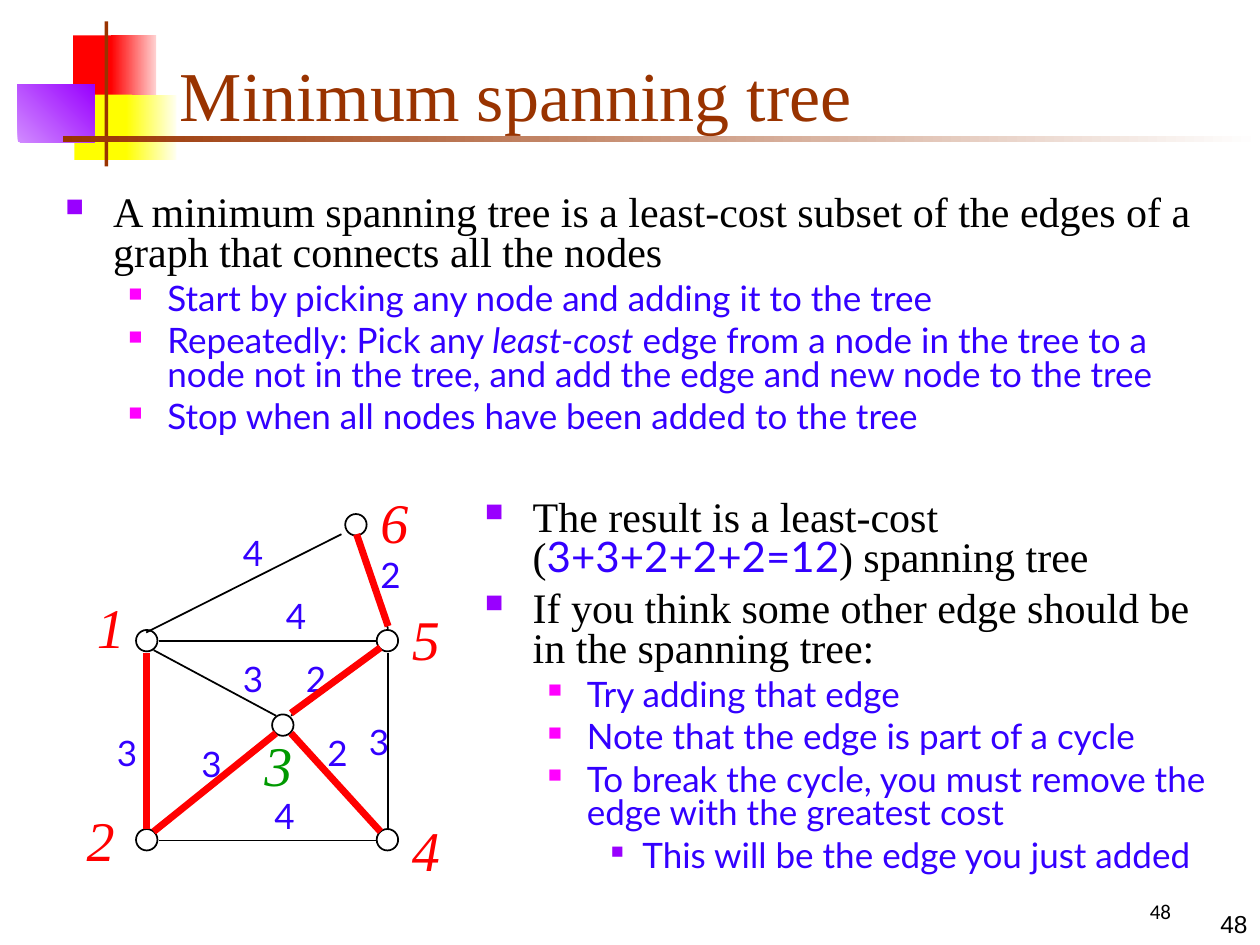
from lxml import etree
from pptx import Presentation
from pptx.dml.color import RGBColor
from pptx.enum.shapes import MSO_CONNECTOR, MSO_SHAPE
from pptx.enum.text import MSO_ANCHOR, PP_ALIGN
from pptx.oxml.ns import qn
from pptx.util import Inches, Pt

COLORS = {
    "black": "000000", "brown": "993300", "white": "FFFFFF",
    "red": "FF0000", "pale_red": "FFD1D1",
    "yellow": "FFFF00", "pale_yellow": "FFFFF0",
    "purple": "9900FF", "pale_purple": "D18BFF",
    "blue": "3300FF", "pink": "FF00FF", "green": "009900",
}
RGB = {name: RGBColor.from_string(code) for name, code in COLORS.items()}
SERIF, SANS = "Times New Roman", "Lato"

prs = Presentation()
prs.slide_width, prs.slide_height = Inches(10), Inches(7.5)
s = prs.slides.add_slide(prs.slide_layouts[6])


def add_text(box, text, font, size, color, before=0, align=PP_ALIGN.LEFT,
             anchor=MSO_ANCHOR.TOP, italic=False):
    """Add a one-paragraph text box at box (left, top, width, height)."""
    tf = s.shapes.add_textbox(*map(Inches, box)).text_frame
    tf.word_wrap = True
    tf.vertical_anchor = anchor
    p = tf.paragraphs[0]
    p.text, p.alignment, p.space_before = text, align, Pt(before)
    p.font.name, p.font.size, p.font.italic = font, Pt(size), italic
    p.font.color.rgb = RGB[color]


def add_edge(ends, color, width, dy=0):
    """Draw a straight graph edge between ends (x1, y1, x2, y2)."""
    x1, y1, x2, y2 = ends
    line = s.shapes.add_connector(MSO_CONNECTOR.STRAIGHT, Inches(x1), Inches(y1 + dy),
                                  Inches(x2), Inches(y2 + dy))
    line.line.color.rgb, line.line.width = RGB[color], Pt(width)
    etree.SubElement(line._element.spPr, qn("a:effectLst"))


# Decoration: box, fill colours (two make a gradient), angle
decoration = [
    ((0.58, 0.28, 0.35, 0.52), ["red"], 0),
    ((0.88, 0.28, 0.36, 0.52), ["red", "pale_red"], 0),
    ((0.59, 0.75, 0.46, 0.52), ["yellow"], 0),
    ((1, 0.75, 0.4, 0.52), ["yellow", "pale_yellow"], 0),
    ((0.14, 0.67, 0.61, 0.46), ["pale_purple", "purple"], 45),
    ((0.83, 0.17, 0.03, 1.15), ["brown"], 0),
    ((0.5, 1.08, 9.5, 0.05), ["brown", "white"], 0),
]
for box, fills, angle in decoration:
    sp = s.shapes.add_shape(MSO_SHAPE.RECTANGLE, *map(Inches, box))
    sp.shadow.inherit = False
    sp.line.fill.background()
    if len(fills) == 1:
        sp.fill.solid()
        sp.fill.fore_color.rgb = RGB[fills[0]]
    else:
        sp.fill.gradient()
        sp.fill.gradient_angle = angle
        for stop, name, place in zip(sp.fill.gradient_stops, fills, (0, 1)):
            stop.color.rgb, stop.position = RGB[name], place

# Title and page numbers
add_text((8.67, 7.08, 1.08, 0.33), "48", "Calibri", 12, "black", 7.5, PP_ALIGN.CENTER)
add_text((7.92, 7, 2.08, 0.5), "48", "Arial", 14, "black", 0, PP_ALIGN.RIGHT,
         MSO_ANCHOR.BOTTOM)
add_text((1.33, 0.33, 8.52, 0.83), "Minimum spanning tree", SERIF, 40, "brown",
         anchor=MSO_ANCHOR.MIDDLE)

# Bullet levels: margin, hang, space before, bullet colour, bullet %, font, size, colour
levels = [
    (0.38, 0.38, 6, "purple", 60, SERIF, 24, "black"),
    (0.81, 0.31, 5, "pink", 55, SANS, 20, "blue"),
    (1.25, 0.25, 5, "purple", 50, SANS, 20, "blue"),
]
# Each body: box, then (level, runs); the odd runs are the emphasised ones
bodies = [
    ((0.42, 1.5, 9.38, 2.4), [
        (0, ["A minimum spanning tree is a least-cost subset of the edges of a "
             "graph that connects all the nodes"]),
        (1, ["Start by picking any node and adding it to the tree"]),
        (1, ["Repeatedly: Pick any ", "least-cost",
             " edge from a node in the tree to a node not in the tree, "
             "and add the edge and new node to the tree"]),
        (1, ["Stop when all nodes have been added to the tree"]),
    ]),
    ((3.75, 3.92, 6, 3.42), [
        (0, ["The result is a least-cost (", "3+3+2+2+2=12", ") spanning tree"]),
        (0, ["If you think some other edge should be in the spanning tree:"]),
        (1, ["Try adding that edge"]),
        (1, ["Note that the edge is part of a cycle"]),
        (1, ["To break the cycle, you must remove the edge with the greatest cost"]),
        (2, ["This will be the edge you just added"]),
    ]),
]
for box, items in bodies:
    tf = s.shapes.add_textbox(*map(Inches, box)).text_frame
    tf.word_wrap = True
    for n, (level, runs) in enumerate(items):
        margin, hang, before, bullet, percent, font, size, color = levels[level]
        p = tf.add_paragraph() if n else tf.paragraphs[0]
        p.level, p.line_spacing, p.space_before = level, 0.8, Pt(before)
        p.font.name, p.font.size, p.font.color.rgb = font, Pt(size), RGB[color]
        for i, text in enumerate(runs):
            r = p.add_run()
            r.text = text
            if i % 2 and level:
                r.font.italic = True
            elif i % 2:
                r.font.name, r.font.color.rgb = SANS, RGB["blue"]
        pPr = p._p.get_or_add_pPr()
        pPr.set("marL", str(Inches(margin)))
        pPr.set("indent", str(-Inches(hang)))
        marks = [etree.Element(qn("a:buClr")),
                 etree.Element(qn("a:buSzPct"), val=str(percent * 1000)),
                 etree.Element(qn("a:buChar"), char="■")]
        etree.SubElement(marks[0], qn("a:srgbClr"), val=COLORS[bullet])
        at = list(pPr).index(pPr.find(qn("a:spcBef"))) + 1
        pPr[at:at] = marks

# Node names
for name, x, y in [("1", 0.67, 4.65), ("2", 0.59, 6.34), ("3", 2, 5.75),
                   ("4", 3.17, 6.42), ("5", 3.17, 4.75), ("6", 2.92, 3.82)]:
    add_text((x, y, 0.5, 0.63), name, SERIF, 32, "green" if name == "3" else "red",
             20, italic=True)

# Nodes
for x, y in [(1.08, 6.58), (1.08, 5), (2.99, 6.58), (2.99, 5), (2.16, 5.67), (2.74, 4.08)]:
    node = s.shapes.add_shape(MSO_SHAPE.OVAL, Inches(x), Inches(y), Inches(0.17), Inches(0.17))
    node.shadow.inherit = False
    node.fill.background()
    node.line.color.rgb, node.line.width = RGB["black"], Pt(1)

# Edges, keyed by the nodes they join
edges = {
    "12": (1.16, 5.18, 1.16, 6.58), "24": (1.26, 6.67, 2.99, 6.67),
    "45": (3.08, 6.58, 3.08, 5.18), "15": (1.26, 5.09, 2.99, 5.09),
    "16": (1.16, 5.02, 2.71, 4.24), "65": (2.83, 4.26, 3.08, 4.99),
    "13": (1.22, 5.16, 2.19, 5.68), "35": (2.31, 5.68, 3.02, 5.16),
    "32": (2.19, 5.82, 1.22, 6.6), "34": (2.31, 5.82, 3.02, 6.6),
}
for ends in edges.values():
    add_edge(ends, "black", 1)

# Edge costs
costs = {
    "3": [(0.83, 5.76), (1.5, 5.84), (1.83, 5.17), (2.83, 5.67)],
    "2": [(2.33, 5.17), (2.5, 5.76), (2.92, 4.34)],
    "4": [(2.08, 6.26), (1.83, 4.17), (2.17, 4.67)],
}
for cost, places in costs.items():
    for x, y in places:
        add_text((x, y, 0.25, 0.43), cost, SANS, 20, "blue", 12.5)

# The spanning tree, with small vertical shifts
for key, dy in [("12", 0), ("32", 0), ("34", 0), ("35", -0.02), ("65", -0.02)]:
    add_edge(edges[key], "red", 4, dy)

prs.save("out.pptx")
